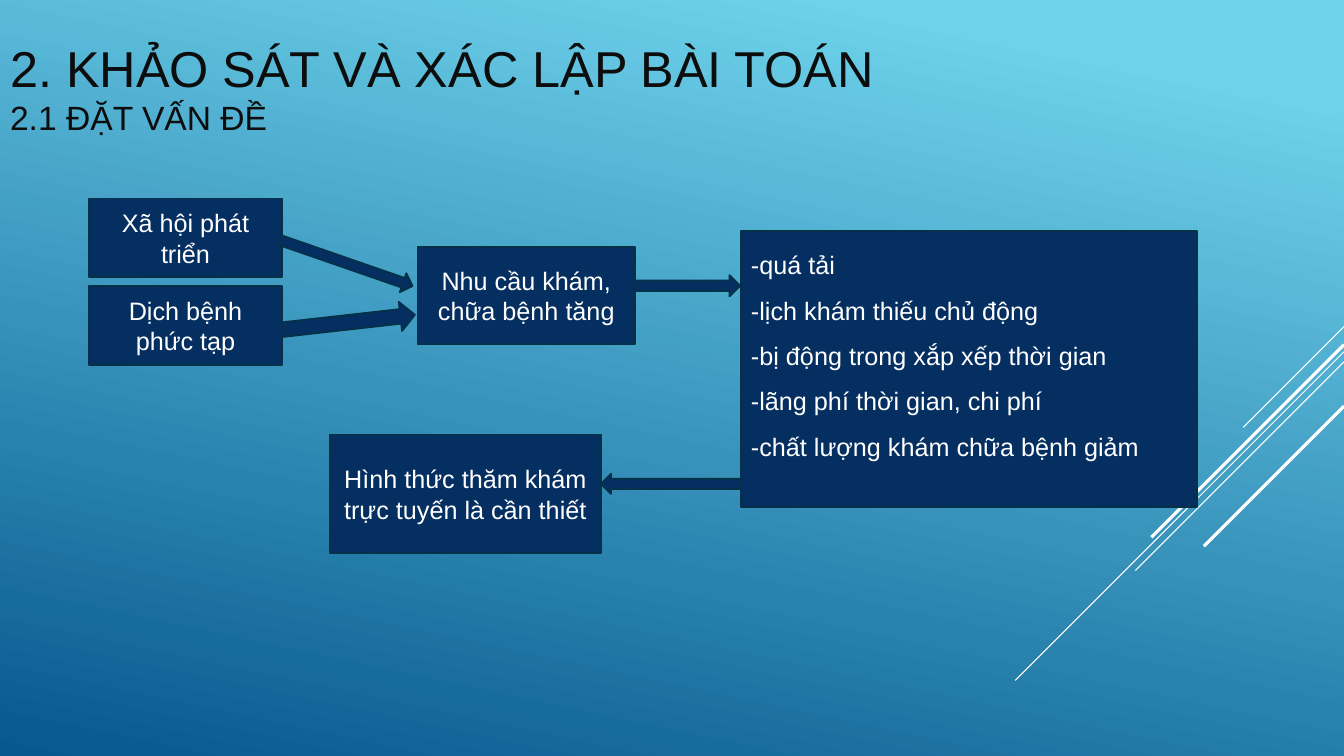
from pptx import Presentation
from pptx.dml.color import RGBColor
from pptx.enum.shapes import MSO_CONNECTOR, MSO_SHAPE
from pptx.enum.text import MSO_ANCHOR, MSO_AUTO_SIZE, PP_ALIGN
from pptx.oxml.ns import qn
from pptx.util import Inches, Pt
from lxml.etree import SubElement

SKY = RGBColor(0x6E, 0xD2, 0xEB)
DEEP_BLUE = RGBColor(0x06, 0x58, 0x8E)
NAVY = RGBColor(0x05, 0x2F, 0x61)
NAVY_EDGE = RGBColor(0x04, 0x31, 0x48)
INK = RGBColor(0x0D, 0x0D, 0x0D)
WHITE = RGBColor(0xFF, 0xFF, 0xFF)

SLIDE_WIDTH, SLIDE_HEIGHT = 13.33, 7.5
TITLE_LINES = [("2. KHẢO SÁT VÀ XÁC LẬP BÀI TOÁN", 36), ("2.1 ĐẶT VẤN ĐỀ", 24)]
# Start height on the right edge, horizontal run, weight
STREAKS = [
    (3.24, 1.0, 0.75),
    (3.49, 3.26, 0.75),
    (3.59, 2.07, 0.75),
    (3.42, 1.91, 2.25),
    (4.03, 1.39, 2.25),
]
CAUSES_AND_RESULT = [
    ("Xã hội phát triển", (0.88, 1.97, 1.92, 0.78)),
    ("Dịch bệnh phức tạp", (0.88, 2.84, 1.92, 0.78)),
    ("Nhu cầu khám, chữa bệnh tăng", (4.14, 2.45, 2.16, 0.96)),
    ("Hình thức thăm khám trực tuyến là cần thiết", (3.27, 4.31, 2.69, 1.18)),
]
PROBLEMS = [
    "-quá tải",
    "-lịch khám thiếu chủ động",
    "-bị động trong xắp xếp thời gian",
    "-lãng phí thời gian, chi phí",
    "-chất lượng khám chữa bệnh giảm",
]
EPIDEMIC_TO_DEMAND = ((2.65, 3.06, 1.47, 0.29), -6.4)
OTHER_ARROWS = [
    ((2.74, 2.51, 1.39, 0.2), 19.1),
    ((6.29, 2.73, 1.05, 0.21), 0),
    ((5.96, 4.7, 1.39, 0.2), 180),
]


def apply(target, values):
    for name, value in values.items():
        setattr(target, name, value)


class FlowSlide:
    box_font = {"name": "Arial", "size": Pt(18)}
    centred = {"alignment": PP_ALIGN.CENTER}
    listed = {"alignment": PP_ALIGN.LEFT, "line_spacing": 1.5}

    def __init__(self, deck):
        self.slide = deck.slides.add_slide(deck.slide_layouts[5])

    def background(self):
        fill = self.slide.background.fill
        fill.gradient()
        fill.gradient_angle = 258
        for stop, (position, colour) in zip(
            fill.gradient_stops, [(0.1, SKY), (1.0, DEEP_BLUE)]
        ):
            stop.position = position
            stop.color.rgb = colour

    def title(self, lines, bounds):
        title = self.slide.shapes.title
        apply(title, dict(zip(("left", "top", "width", "height"), map(Inches, bounds))))
        apply(title.text_frame, {
            "word_wrap": True,
            "auto_size": MSO_AUTO_SIZE.NONE,
            "vertical_anchor": MSO_ANCHOR.MIDDLE,
            "margin_top": Inches(0.13),
            "margin_bottom": Inches(0.05),
        })
        heading = title.text_frame.paragraphs[0]
        heading.alignment = PP_ALIGN.LEFT
        for index, (text, size) in enumerate(lines):
            if index:
                heading.add_line_break()
            run = heading.add_run()
            run.text = text
            apply(run.font, {"name": "Arial", "size": Pt(size)})
            run.font.color.rgb = INK

    def streak(self, top, reach, weight):
        """Draw a 45° line down and left from the slide's right edge."""
        streak = self.slide.shapes.add_connector(
            MSO_CONNECTOR.STRAIGHT,
            Inches(SLIDE_WIDTH), Inches(top),
            Inches(SLIDE_WIDTH - reach), Inches(top + reach),
        )
        streak.line.color.rgb = WHITE
        streak.line.width = Pt(weight)
        SubElement(streak._element.spPr, qn("a:effectLst"))

    def navy_shape(self, preset, bounds):
        shape = self.slide.shapes.add_shape(preset, *map(Inches, bounds))
        shape.shadow.inherit = False
        shape.fill.solid()
        shape.fill.fore_color.rgb = NAVY
        shape.line.color.rgb = NAVY_EDGE
        shape.line.width = Pt(1.25)
        return shape

    def arrow(self, bounds, rotation):
        self.navy_shape(MSO_SHAPE.RIGHT_ARROW, bounds).rotation = rotation

    def box(self, lines, bounds, layout, margins=(0.05, 0.05)):
        frame = self.navy_shape(MSO_SHAPE.RECTANGLE, bounds).text_frame
        margin_top, margin_bottom = map(Inches, margins)
        apply(frame, {
            "word_wrap": True,
            "vertical_anchor": MSO_ANCHOR.MIDDLE,
            "margin_top": margin_top,
            "margin_bottom": margin_bottom,
        })
        frame.text = "\n".join(lines)
        for paragraph in frame.paragraphs:
            apply(paragraph, layout)
            apply(paragraph.font, self.box_font)
            paragraph.font.color.rgb = WHITE


def main():
    deck = Presentation()
    deck.slide_width = Inches(SLIDE_WIDTH)
    deck.slide_height = Inches(SLIDE_HEIGHT)
    flow = FlowSlide(deck)
    flow.background()
    flow.title(TITLE_LINES, (0, 0, 9.33, 1.65))
    for streak in STREAKS:
        flow.streak(*streak)
    flow.arrow(*EPIDEMIC_TO_DEMAND)
    for text, bounds in CAUSES_AND_RESULT:
        flow.box([text], bounds, flow.centred)
    flow.box(PROBLEMS, (7.35, 2.29, 4.52, 2.74), flow.listed, margins=(0.03, 0.45))
    for arrow in OTHER_ARROWS:
        flow.arrow(*arrow)
    deck.save("out.pptx")


if __name__ == "__main__":
    main()
